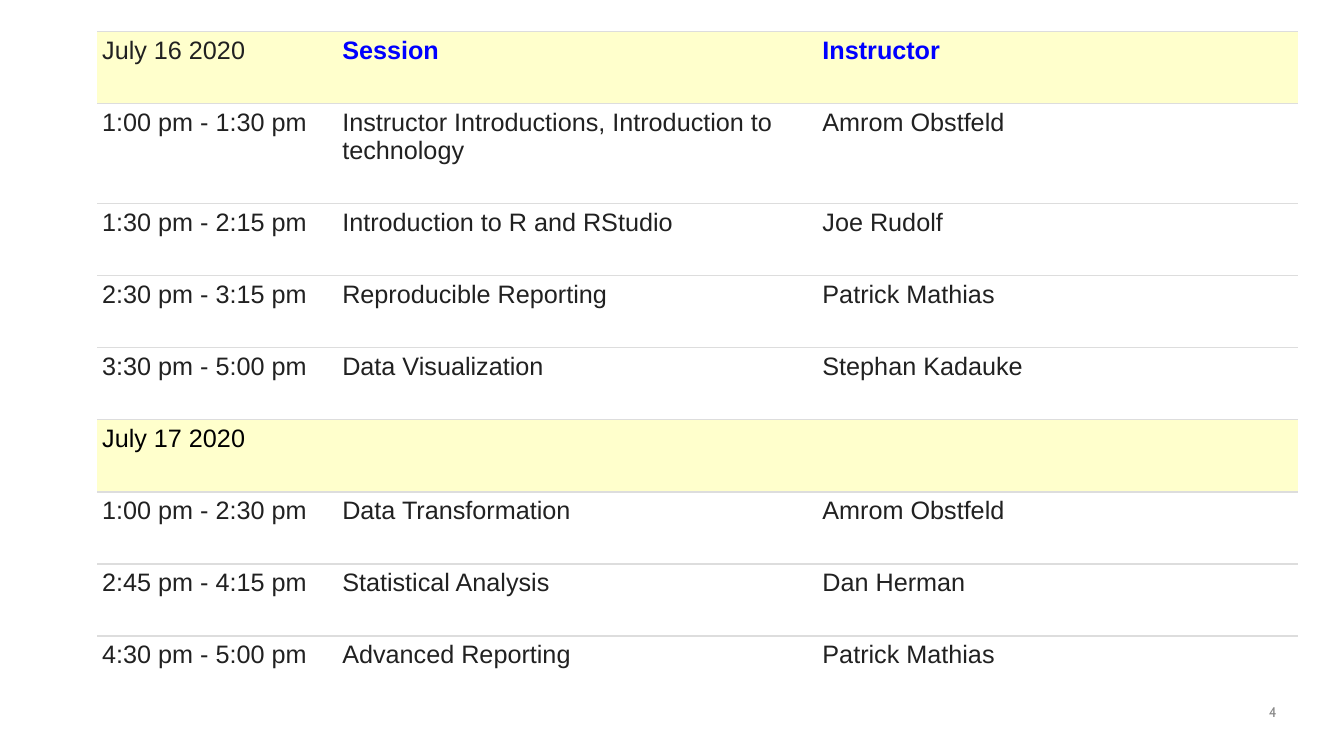
"""Builds a two-day workshop schedule slide."""
import pptx
import pptx.dml.color
import pptx.enum.shapes
import pptx.enum.text
import pptx.oxml
import pptx.oxml.ns
import pptx.util

SCHEDULE = [
    ("July 16 2020", "Session", "Instructor"),
    ("1:00 pm - 1:30 pm", "Instructor Introductions, Introduction to technology", "Amrom Obstfeld"),
    ("1:30 pm - 2:15 pm", "Introduction to R and RStudio", "Joe Rudolf"),
    ("2:30 pm - 3:15 pm", "Reproducible Reporting", "Patrick Mathias"),
    ("3:30 pm - 5:00 pm", "Data Visualization", "Stephan Kadauke"),
    ("July 17 2020", "", ""),
    ("1:00 pm - 2:30 pm", "Data Transformation", "Amrom Obstfeld"),
    ("2:45 pm - 4:15 pm", "Statistical Analysis", "Dan Herman"),
    ("4:30 pm - 5:00 pm", "Advanced Reporting", "Patrick Mathias"),
]
PAGE_NUMBER = "4"
COLORS = {"text": "212121", "black": "000000", "heading": "0000FF", "day": "FFFFCC",
          "white": "FFFFFF", "rule": "DDDDDD", "number": "888888"}
DAY_ROWS = (0, 5)
TALL_ROW = 1
ROW_H, TALL_H = 103, 143
COL_W = (343, 686, 686)
LEFT, TOP, INSET = 139, 45, 7
PANEL_BOX = (0, 33, 160, 338)
NUMBER_BOX = (1382, 1005, 442, 55)
NO_STYLE = "{2D5ABB26-0587-4C30-8999-92F81FD0307C}"
EMU_PER_PX = 6350


def px(n):
    return pptx.util.Emu(n * EMU_PER_PX)


def rgb(name):
    return pptx.dml.color.RGBColor.from_string(COLORS[name])


def set_font(font, color, **values):
    for key, value in values.items():
        setattr(font, key, value)
    font.color.rgb = rgb(color)


def set_margins(target, size):
    for side in ("left", "top", "right", "bottom"):
        setattr(target, f"margin_{side}", px(size))


def add_rule(cell, side):
    cell._tc.get_or_add_tcPr().append(pptx.oxml.parse_xml(
        f'<a:{side} {pptx.oxml.ns.nsdecls("a")} w="12700"><a:solidFill>'
        f'<a:srgbClr val="{COLORS["rule"]}"/></a:solidFill></a:{side}>'))


def fill_cell(cell, row, col, text):
    set_margins(cell, INSET)
    add_rule(cell, "lnT")
    if row < len(SCHEDULE) - 1:
        add_rule(cell, "lnB")
    cell.fill.solid()
    cell.fill.fore_color.rgb = rgb("day" if row in DAY_ROWS else "white")
    if not text:
        return
    heading = row == 0 and col > 0
    color = "heading" if heading else "black" if row == DAY_ROWS[1] else "text"
    p = cell.text_frame.paragraphs[0]
    p.space_after = pptx.util.Pt(15)
    r = p.add_run()
    r.text = text
    set_font(r.font, color, name="Arial", size=pptx.util.Pt(18), bold=heading)


def add_panel(s):
    sp = s.shapes.add_shape(pptx.enum.shapes.MSO_SHAPE.RECTANGLE, *map(px, PANEL_BOX))
    sp.shadow.inherit = False
    for fill in (sp.fill, sp.line.fill):
        fill.solid()
        fill.fore_color.rgb = rgb("white")
    sp.line.width = pptx.util.Pt(1.25)


def add_schedule(s):
    heights = [TALL_H if i == TALL_ROW else ROW_H for i in range(len(SCHEDULE))]
    frame = s.shapes.add_table(len(SCHEDULE), len(COL_W), px(LEFT), px(TOP),
                               px(sum(COL_W)), px(sum(heights)))
    table = frame.table
    table.first_row = table.horz_banding = False
    table._tbl.tblPr.find(pptx.oxml.ns.qn("a:tableStyleId")).text = NO_STYLE
    for column, width in zip(table.columns, COL_W):
        column.width = px(width)
    for i, (height, texts) in enumerate(zip(heights, SCHEDULE)):
        table.rows[i].height = px(height)
        for j, text in enumerate(texts):
            fill_cell(table.cell(i, j), i, j, text)


def add_page_number(s):
    sp = s.shapes.add_textbox(*map(px, NUMBER_BOX))
    tf = sp.text_frame
    tf.word_wrap = True
    set_margins(tf, 0)
    p = tf.paragraphs[0]
    p.alignment = pptx.enum.text.PP_ALIGN.RIGHT
    r = p.add_run()
    r.text = PAGE_NUMBER
    set_font(r.font, "number", name="Cabin", size=pptx.util.Pt(10))


def main():
    prs = pptx.Presentation()
    prs.slide_width, prs.slide_height = px(1920), px(1080)
    s = prs.slides.add_slide(prs.slide_layouts[6])
    add_panel(s)
    add_schedule(s)
    add_page_number(s)
    prs.save("out.pptx")


if __name__ == "__main__":
    main()
